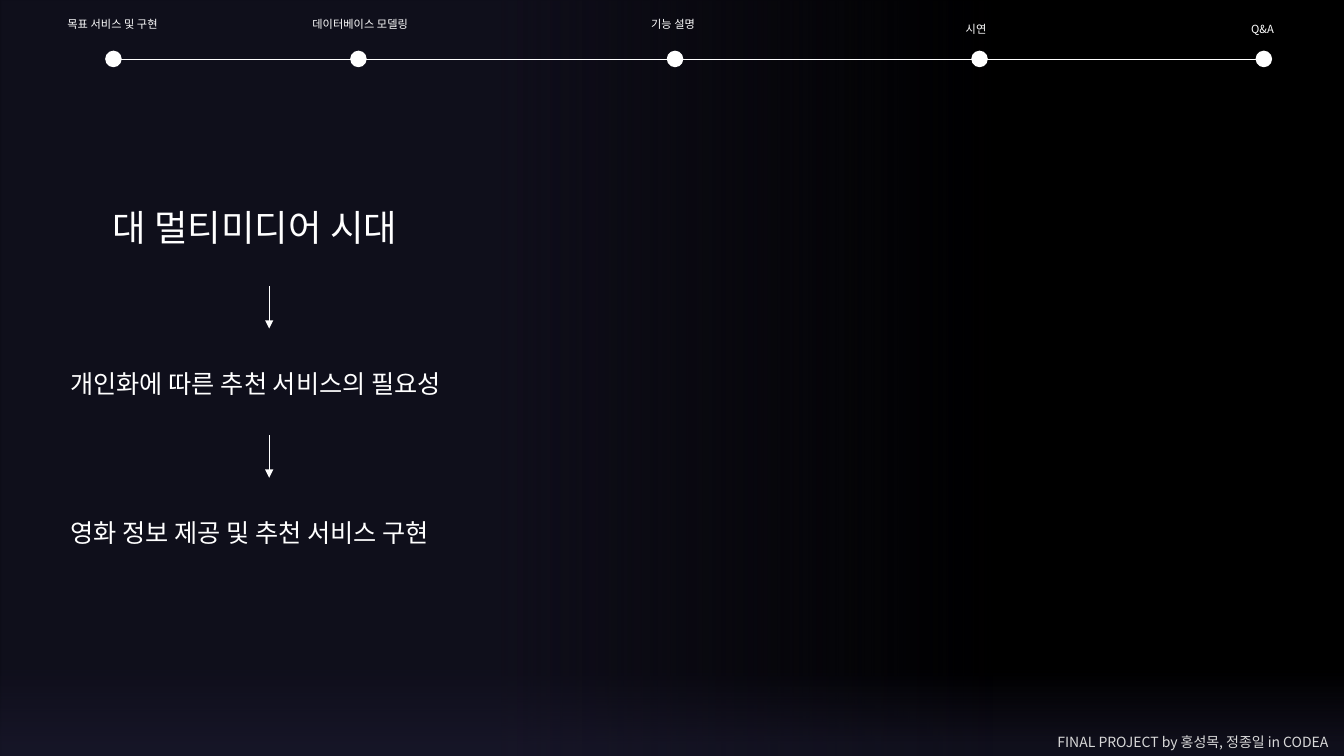
from dataclasses import dataclass

from lxml.etree import SubElement
from pptx import Presentation
from pptx.dml.color import RGBColor
from pptx.enum.shapes import MSO_CONNECTOR, MSO_SHAPE
from pptx.enum.text import MSO_AUTO_SIZE
from pptx.oxml.ns import qn
from pptx.util import Inches, Pt


@dataclass(frozen=True)
class Theme:
    font: str = "Noto Sans CJK KR"
    backdrop: RGBColor = RGBColor(0, 0, 0)
    glow: RGBColor = RGBColor(0x1B, 0x19, 0x2E)
    ink: RGBColor = RGBColor(0xFF, 0xFF, 0xFF)
    muted: RGBColor = RGBColor(0xD9, 0xD9, 0xD9)
    headline: int = 26
    statement: int = 18
    credit: int = 10
    step: int = 8
    hairline: float = 0.5
    outline: float = 1


@dataclass(frozen=True)
class Box:
    """A region in grid units: the slide has 1333 columns and 750 rows."""
    left: float
    top: float
    width: float
    height: float

    def inner(self, left, top, width, height):
        return Box(self.left + left, self.top + top, width, height)

    def emu(self):
        return [Inches(n / 100) for n in (self.left, self.top, self.width, self.height)]


THEME = Theme()
SLIDE = Box(0, 0, 1333, 750)

# label, label left, label top, label width, label height, dot left, line spacing
STEPS = [
    ("목표 서비스 및 구현", 57, 12, 125, 24, 105, 1),
    ("데이터베이스 모델링", 300, 12, 125, 24, 348, 1),
    ("기능 설명", 636, 12, 68, 24, 662, 1),
    ("시연", 948, 4, 47, 33, 964, 2),
    ("Q&A", 1231, 17, 45, 24, 1246, 1),
]


def add_text(slide, box, wording, size, color=THEME.ink, spacing=1):
    frame = slide.shapes.add_textbox(*box.emu()).text_frame
    frame.word_wrap = True
    frame.auto_size = MSO_AUTO_SIZE.SHAPE_TO_FIT_TEXT
    frame.text = wording
    paragraph = frame.paragraphs[0]
    if spacing != 1:
        paragraph.line_spacing = float(spacing)
    run = paragraph.runs[0]
    run.font.size = Pt(size)
    run.font.color.rgb = color
    run.font.name = THEME.font
    SubElement(run.font._element, qn("a:ea"), typeface=THEME.font)


def add_line(slide, box, arrow=False):
    """Draw a line from the box's top left to its bottom right."""
    left, top, width, height = box.emu()
    connector = slide.shapes.add_connector(
        MSO_CONNECTOR.STRAIGHT, left, top, left + width, top + height)
    connector.line.color.rgb = THEME.ink
    connector.line.width = Pt(THEME.hairline)
    properties = connector._element.spPr
    if arrow:
        SubElement(properties.find(qn("a:ln")), qn("a:tailEnd"), type="triangle")
    SubElement(properties, qn("a:effectLst"))


def add_glow(slide, box, start, end, angle, rotation=0):
    """Fade the glow colour from clear at start to 60 % at end."""
    panel = slide.shapes.add_shape(MSO_SHAPE.RECTANGLE, *box.emu())
    panel.shadow.inherit = False
    panel.rotation = rotation
    panel.line.fill.background()
    panel.fill.gradient()
    panel.fill.gradient_angle = angle
    for stop, position in zip(panel.fill.gradient_stops, (start, end)):
        stop.position = position
        stop.color.rgb = THEME.glow
    colors = panel._element.spPr.iter(qn("a:srgbClr"))
    for color, opacity in zip(list(colors), (0, 60000)):
        SubElement(color, qn("a:alpha"), val=str(opacity))


def draw_backdrop(slide, box):
    slide.background.fill.solid()
    slide.background.fill.fore_color.rgb = THEME.backdrop
    add_glow(slide, box.inner(0, 631, box.width, 119), 0.28, 0.9, angle=270)
    add_glow(slide, box.inner(0, 0, 984, box.height), 0, 0.5, angle=0, rotation=180)


def draw_timeline(slide, box):
    dot_size, dot_top = 15, 51
    first, last = (STEPS[i][5] + dot_size / 2 for i in (0, -1))
    add_line(slide, box.inner(first, dot_top + dot_size / 2, last - first, 0))
    for label, left, top, width, height, dot_left, spacing in STEPS:
        dot = slide.shapes.add_shape(
            MSO_SHAPE.OVAL, *box.inner(dot_left, dot_top, dot_size, dot_size).emu())
        dot.shadow.inherit = False
        dot.fill.solid()
        dot.fill.fore_color.rgb = THEME.ink
        dot.line.color.rgb = THEME.ink
        dot.line.width = Pt(THEME.outline)
        add_text(slide, box.inner(left, top, width, height), label, THEME.step,
                 spacing=spacing)


def draw_argument(slide, box):
    """Headline leading down by arrows to two statements."""
    pitch = 148
    add_text(slide, box.inner(42, 0, 329, 54), "대 멀티미디어 시대", THEME.headline)
    statements = ["개인화에 따른 추천 서비스의 필요성", "영화 정보 제공 및 추천 서비스 구현"]
    for row, statement in enumerate(statements):
        add_line(slide, box.inner(207, 85 + row * pitch, 0, 42), arrow=True)
        add_text(slide, box.inner(0, 161 + row * pitch, box.width, 40),
                 statement, THEME.statement)


def draw_credit(slide, box):
    add_text(slide, box, "FINAL PROJECT by 홍성목, 정종일 in CODEA",
             THEME.credit, THEME.muted)


def main():
    deck = Presentation()
    deck.slide_width, deck.slide_height = SLIDE.emu()[2:]
    slide = deck.slides.add_slide(deck.slide_layouts[6])
    draw_backdrop(slide, SLIDE)
    draw_timeline(slide, SLIDE.inner(0, 0, SLIDE.width, 100))
    draw_argument(slide, SLIDE.inner(60, 199, 414, 349))
    draw_credit(slide, SLIDE.inner(1039, 723, 306, 27))
    deck.save("out.pptx")


if __name__ == "__main__":
    main()
